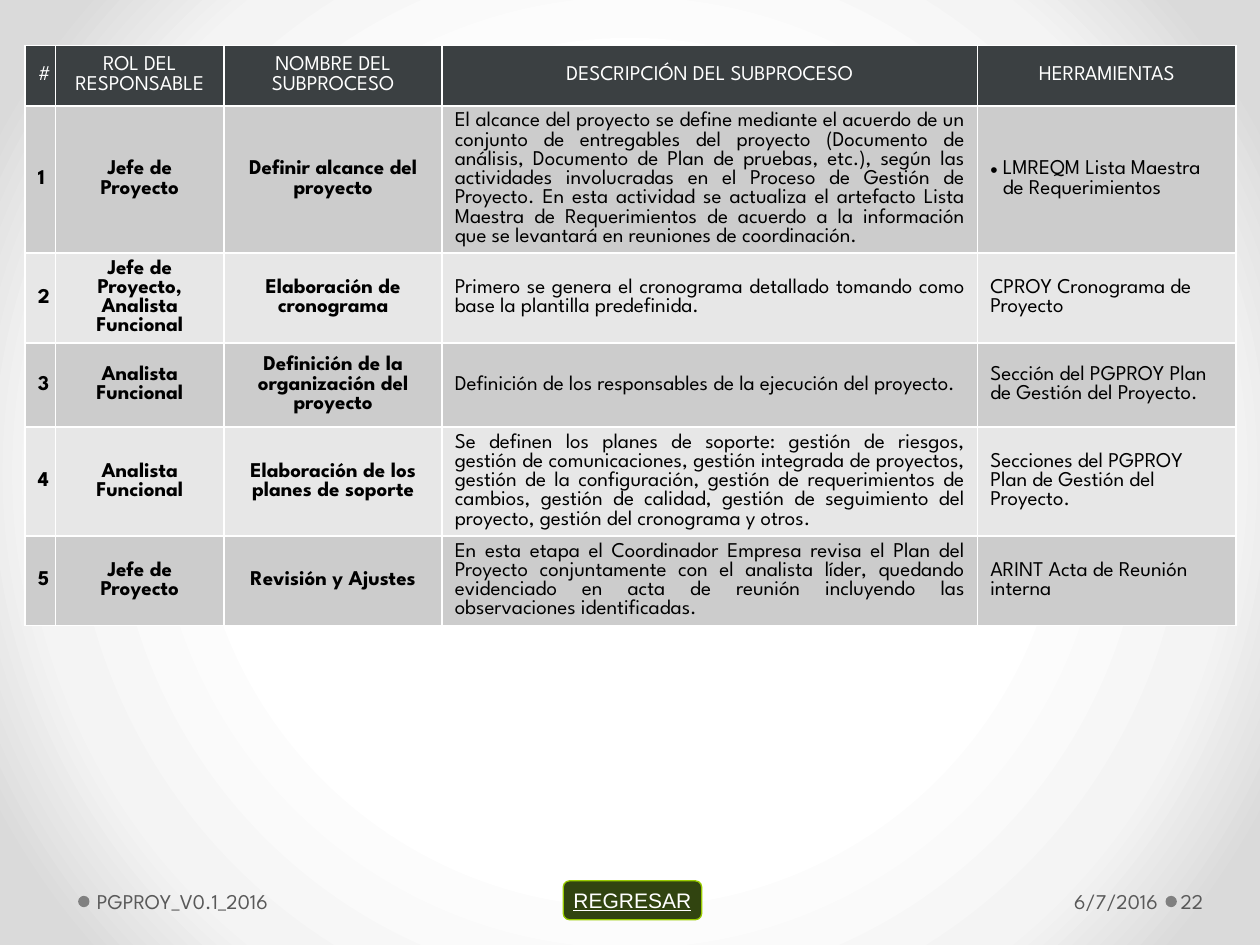
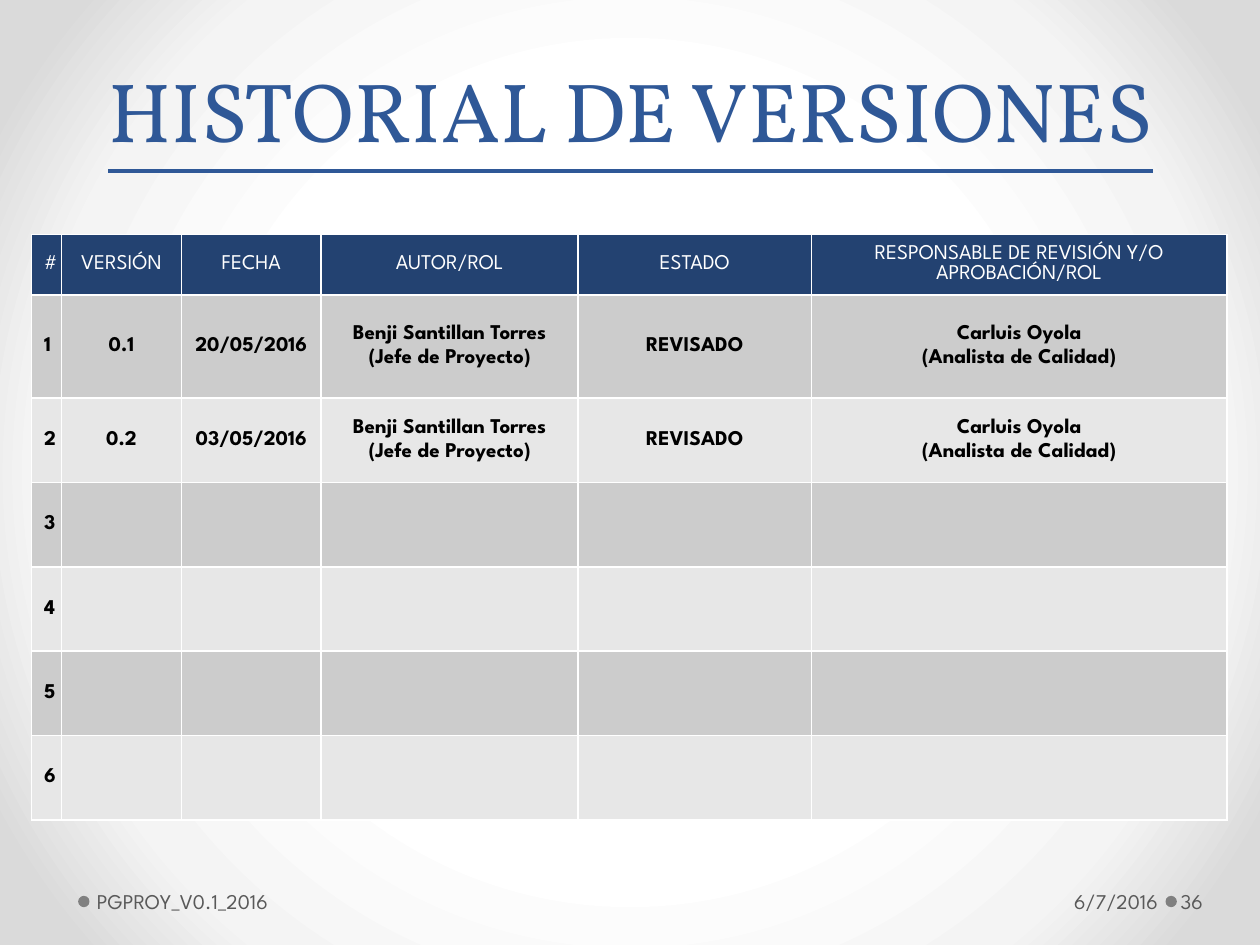
"""Build the subprocess table and version history slides."""
from lxml.etree import SubElement
from pptx import Presentation
from pptx.dml.color import RGBColor
from pptx.enum.shapes import MSO_SHAPE
from pptx.enum.text import MSO_ANCHOR, PP_ALIGN
from pptx.oxml import parse_xml
from pptx.oxml.ns import qn
from pptx.util import Inches, Pt

BODY_FONT = "League Spartan"
FOOTER_GREY = "595959"
ROW_FILLS = ["CCCCCC", "E7E7E7"]
FOOTER_TEXT = "PGPROY_V0.1_2016"
FOOTER_DATE = "6/7/2016"
BACKGROUND = """<a:gradFill xmlns:a="http://schemas.openxmlformats.org/drawingml/2006/main" rotWithShape="1">
<a:gsLst><a:gs pos="50000"><a:srgbClr val="FFFFFF"/></a:gs>
<a:gs pos="76000"><a:srgbClr val="F4F4F4"/></a:gs>
<a:gs pos="92000"><a:srgbClr val="DADADA"/></a:gs></a:gsLst>
<a:path path="circle"><a:fillToRect l="50000" t="50000" r="50000" b="50000"/></a:path></a:gradFill>"""


def color(value):
    return RGBColor.from_string(value)


def write(frame, text, ink, align=PP_ALIGN.LEFT, size=12, font=BODY_FONT, bold=False, underline=None):
    frame.text = text
    for index, para in enumerate(frame.paragraphs):
        para.alignment = align
        if index:
            para.space_before = Pt(2.4)
        for span in para.runs:
            span.font.size = Pt(size)
            span.font.name = font
            span.font.bold = bold
            span.font.underline = underline
            span.font.color.rgb = color(ink)


author = "Benji Santillan Torres\n(Jefe de Proyecto)"
reviewer = "Carluis Oyola\n(Analista de Calidad)"
pages = [
    {
        "number": "22",
        "place": (0.2, 0.36, 9.61, 3.98),
        "header_fill": "3B4042",
        "columns": [0.24, 1.34, 1.73, 4.25, 2.05],
        "rows": [
            ["#", "ROL DEL RESPONSABLE", "NOMBRE DEL SUBPROCESO", "DESCRIPCIÓN DEL SUBPROCESO", "HERRAMIENTAS"],
            ["1", "Jefe de Proyecto", "Definir alcance del proyecto",
             "El alcance del proyecto se define mediante el acuerdo de un conjunto de entregables del proyecto "
             "(Documento de análisis, Documento de Plan de pruebas, etc.), según las actividades involucradas en "
             "el Proceso de Gestión de Proyecto. En esta actividad se actualiza el artefacto Lista Maestra de "
             "Requerimientos de acuerdo a la información que se levantará en reuniones de coordinación.",
             "LMREQM Lista Maestra de Requerimientos"],
            ["2", "Jefe de Proyecto, Analista Funcional", "Elaboración de cronograma",
             "Primero se genera el cronograma detallado tomando como base la plantilla predefinida.",
             "CPROY Cronograma de Proyecto"],
            ["3", "Analista Funcional", "Definición de la organización del proyecto",
             "Definición de los responsables de la ejecución del proyecto.",
             "Sección del PGPROY Plan de Gestión del Proyecto."],
            ["4", "Analista Funcional", "Elaboración de los planes de soporte",
             "Se definen los planes de soporte: gestión de riesgos, gestión de comunicaciones, gestión integrada "
             "de proyectos, gestión de la configuración, gestión de requerimientos de cambios, gestión de "
             "calidad, gestión de seguimiento del proyecto, gestión del cronograma y otros.",
             "Secciones del PGPROY Plan de Gestión del Proyecto."],
            ["5", "Jefe de Proyecto", "Revisión y Ajustes",
             "En esta etapa el Coordinador Empresa revisa el Plan del Proyecto conjuntamente con el analista "
             "líder, quedando evidenciado en acta de reunión incluyendo las observaciones identificadas.",
             "ARINT Acta de Reunión interna"],
        ],
        "prose": {3: PP_ALIGN.JUSTIFY, 4: PP_ALIGN.LEFT},
    },
    {
        "number": "36",
        "place": (0.25, 1.86, 9.48, 4.65),
        "header_fill": "234271",
        "columns": [0.23, 0.95, 1.11, 2.04, 1.85, 3.3],
        "rows": [
            ["#", "VERSIÓN", "FECHA", "AUTOR/ROL", "ESTADO", "RESPONSABLE DE REVISIÓN Y/O APROBACIÓN/ROL"],
            ["1", "0.1", "20/05/2016", author, "REVISADO", reviewer],
            ["2", "0.2", "03/05/2016", author, "REVISADO", reviewer],
            *[[str(number), "", "", "", "", ""] for number in range(3, 7)],
        ],
        "prose": {},
    },
]

deck = Presentation()
deck.slide_width = Inches(10)
deck.slide_height = Inches(7.5)
slides = []

for page in pages:
    slide = deck.slides.add_slide(deck.slide_layouts[6])
    slides.append(slide)
    slide.background.fill.gradient()
    gradient = slide.element.find(".//" + qn("a:gradFill"))
    gradient.getparent().replace(gradient, parse_xml(BACKGROUND))

    for left in (9.25, 0.62):
        dot = slide.shapes.add_shape(MSO_SHAPE.OVAL, Inches(left), Inches(7.11), Inches(0.09), Inches(0.09))
        dot.shadow.inherit = False
        dot.fill.solid()
        dot.fill.fore_color.rgb = color("808080")
        dot.line.fill.background()

    for text, left, width, inset_left, inset_right, align in (
        (page["number"], 9.34, 0.61, 0.03, 0.05, PP_ALIGN.LEFT),
        (FOOTER_TEXT, 0.72, 3.96, 0.05, 0.1, PP_ALIGN.LEFT),
        (FOOTER_DATE, 6.96, 2.28, 0.1, 0.05, PP_ALIGN.RIGHT),
    ):
        frame = slide.shapes.add_textbox(Inches(left), Inches(6.95), Inches(width), Inches(0.4)).text_frame
        frame.word_wrap = True
        frame.vertical_anchor = MSO_ANCHOR.MIDDLE
        frame.margin_left = Inches(inset_left)
        frame.margin_right = Inches(inset_right)
        write(frame, text, FOOTER_GREY, align)

    rows, columns = page["rows"], page["columns"]
    place = [Inches(length) for length in page["place"]]
    table = slide.shapes.add_table(len(rows), len(columns), *place).table
    for column, width in zip(table.columns, columns):
        column.width = Inches(width)
    for row_index, texts in enumerate(rows):
        table.rows[row_index].height = Inches({0: 0.48, 1: 0.82}.get(row_index, 0.67))
        is_header = row_index == 0
        for column_index, text in enumerate(texts):
            cell = table.cell(row_index, column_index)
            cell.vertical_anchor = MSO_ANCHOR.MIDDLE
            cell.fill.solid()
            cell.fill.fore_color.rgb = color(page["header_fill"] if is_header else ROW_FILLS[(row_index - 1) % 2])
            is_prose = not is_header and column_index in page["prose"]
            align = page["prose"][column_index] if is_prose else PP_ALIGN.CENTER
            write(cell.text_frame, text, "FFFFFF" if is_header else "000000", align,
                  bold=not is_header and not is_prose)
            for para in cell.text_frame.paragraphs:
                para.line_spacing = Pt(11)
            if text.startswith("LMREQM"):
                properties = cell.text_frame.paragraphs[0]._p.get_or_add_pPr()
                properties.set("marL", str(Inches(0.1)))
                properties.set("indent", str(-Inches(0.1)))
                SubElement(properties, qn("a:buFont")).set("typeface", "Arial")
                SubElement(properties, qn("a:buChar")).set("char", "•")

subprocess_slide, history_slide = slides

button = subprocess_slide.shapes.add_shape(
    MSO_SHAPE.FLOWCHART_ALTERNATE_PROCESS, Inches(4.47), Inches(6.99), Inches(1.1), Inches(0.31))
button.shadow.inherit = False
button.fill.solid()
button.fill.fore_color.rgb = color("314410")
button.line.color.rgb = color("99CC00")
button.line.width = Pt(0.75)
button.text_frame.word_wrap = False
button.text_frame.vertical_anchor = MSO_ANCHOR.MIDDLE
write(button.text_frame, "REGRESAR", "FFFFFF", PP_ALIGN.CENTER, font="Arial", underline=True)

title = history_slide.shapes.add_textbox(Inches(0.28), Inches(0.2), Inches(9.45), Inches(1.11))
title.text_frame.word_wrap = True
title.text_frame.vertical_anchor = MSO_ANCHOR.BOTTOM
write(title.text_frame, "HISTORIAL DE VERSIONES", "2F5897", PP_ALIGN.CENTER, 48, "Vollkorn", underline=True)

deck.save("out.pptx")
